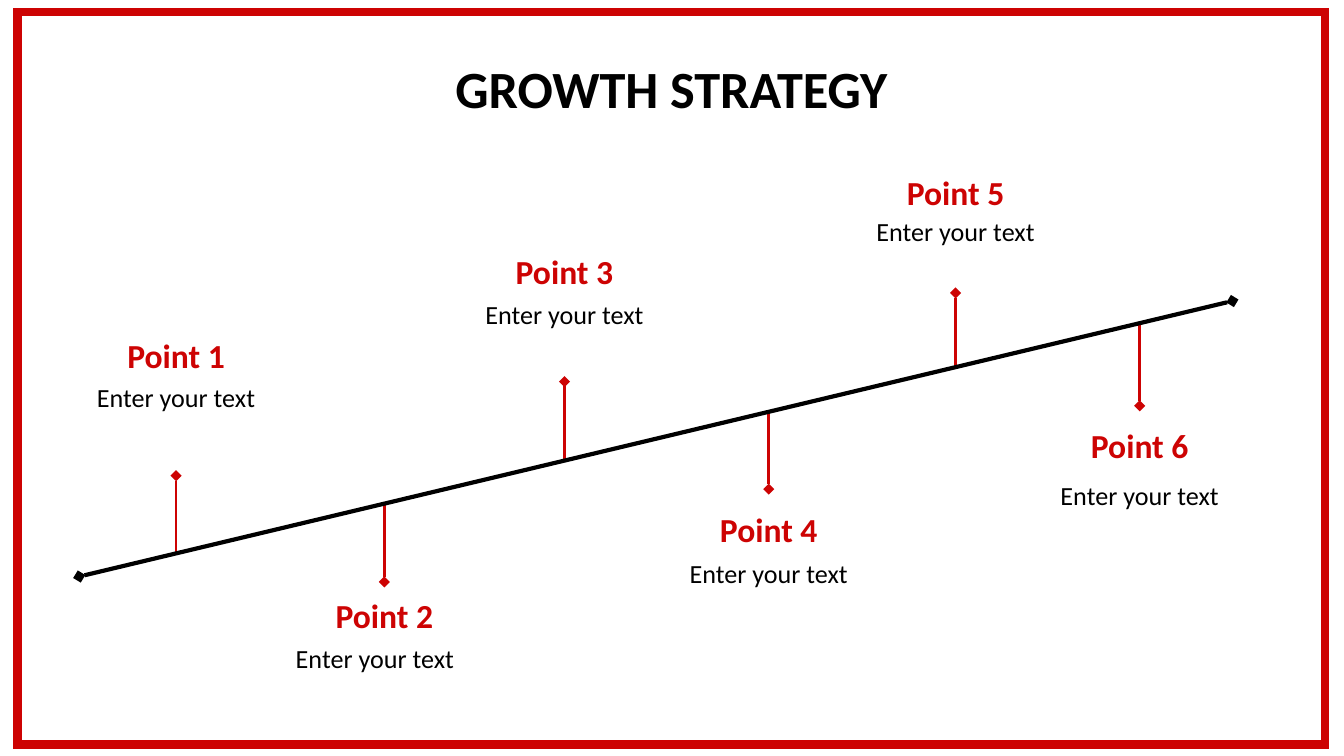
from lxml import etree
from pptx import Presentation
from pptx.dml.color import RGBColor
from pptx.enum.shapes import MSO_CONNECTOR, MSO_SHAPE
from pptx.enum.text import MSO_ANCHOR, MSO_AUTO_SIZE, PP_ALIGN
from pptx.oxml.ns import qn
from pptx.util import Inches, Pt

STRAIGHT, RECTANGLE = MSO_CONNECTOR.STRAIGHT, MSO_SHAPE.RECTANGLE
TOP, CENTER, NO_FIT = MSO_ANCHOR.TOP, PP_ALIGN.CENTER, MSO_AUTO_SIZE.NONE

RED = RGBColor(0xCD, 0x03, 0x03)
BLACK = RGBColor(0, 0, 0)
FONT = "Calibri"

# Content: heading, detail, stem x, stem tip y, heading top, detail top, detail shift
TITLE = "GROWTH STRATEGY"
DETAIL = "Enter your text"
POINTS = [
    ("Point 1", DETAIL, 1.31, 3.54, 2.39, 2.74, 0),
    ("Point 2", DETAIL, 2.86, 4.33, 4.33, 4.68, -0.07),
    ("Point 3", DETAIL, 4.20, 2.84, 1.77, 2.12, 0),
    ("Point 4", DETAIL, 5.72, 3.64, 3.69, 4.05, 0),
    ("Point 5", DETAIL, 7.11, 2.18, 1.18, 1.50, 0),
    ("Point 6", DETAIL, 8.48, 3.02, 3.06, 3.47, 0),
]

# Geometry in inches, on a 16:9 slide
WIDTH = 10
HEIGHT = WIDTH * 9 / 16
AXIS_START, AXIS_END = (0.59, 4.29), (9.17, 2.24)
HEADING_SIZE = (1.99, 0.43)
DETAIL_SIZE = (2.42, 0.68)

prs = Presentation()
prs.slide_width, prs.slide_height = Inches(WIDTH), Inches(HEIGHT)
slide = prs.slides.add_slide(prs.slide_layouts[5])


def write(box, text, *, size, color=BLACK, bold=False, spacing=1.0):
    frame = box.text_frame
    frame.word_wrap = True
    frame.auto_size = NO_FIT
    frame.vertical_anchor = TOP
    frame.margin_left = frame.margin_right = Inches(0.1)
    frame.margin_top = frame.margin_bottom = Inches(0.1)
    frame.text = text
    paragraph = frame.paragraphs[0]
    paragraph.alignment = CENTER
    paragraph.line_spacing = spacing
    font = paragraph.runs[0].font
    font.name, font.size, font.bold = FONT, Pt(size), bold
    font.color.rgb = color


def centered_box(center, top, size):
    width, height = size
    return slide.shapes.add_textbox(
        Inches(center - width / 2), Inches(top), Inches(width), Inches(height))


def diamond_line(start, end, color, weight, ends=("tailEnd",)):
    line = slide.shapes.add_connector(
        STRAIGHT, *(Inches(value) for value in (*start, *end)))
    line.line.color.rgb = color
    line.line.width = Pt(weight)
    properties = line.line._get_or_add_ln()
    for end_tag in ends:
        etree.SubElement(properties, qn(f"a:{end_tag}"), type="diamond")
    etree.SubElement(properties.getparent(), qn("a:effectLst"))


def axis_y(x):
    (x0, y0), (x1, y1) = AXIS_START, AXIS_END
    return y0 + (y1 - y0) * (x - x0) / (x1 - x0)


# Border with square corners
border = slide.shapes.add_shape(
    RECTANGLE, Inches(0.13), Inches(0.09), Inches(9.73), Inches(5.45))
border.shadow.inherit = False
border.fill.background()
border.line.color.rgb = RED
border.line.width = Pt(4.5)
etree.SubElement(border.line._get_or_add_ln(), qn("a:miter"), lim="800000")

# Title
title = slide.shapes.title
title.left, title.top = Inches(0.97), Inches(0.37)
title.width, title.height = Inches(8.05), Inches(0.58)
write(title, TITLE, size=28, bold=True, spacing=0.9)

# Stems, each rising or falling from the growth axis
for heading, detail, x, tip, heading_top, detail_top, shift in POINTS:
    diamond_line((x, axis_y(x)), (x, tip), RED, 1.5)

# Growth axis
diamond_line(AXIS_END, AXIS_START, BLACK, 2.25, ("headEnd", "tailEnd"))

# Point headings and details
for heading, detail, x, tip, heading_top, detail_top, shift in POINTS:
    write(centered_box(x, heading_top, HEADING_SIZE), heading,
          size=18, color=RED, bold=True)
    write(centered_box(x + shift, detail_top, DETAIL_SIZE), detail, size=14)

prs.save("out.pptx")
